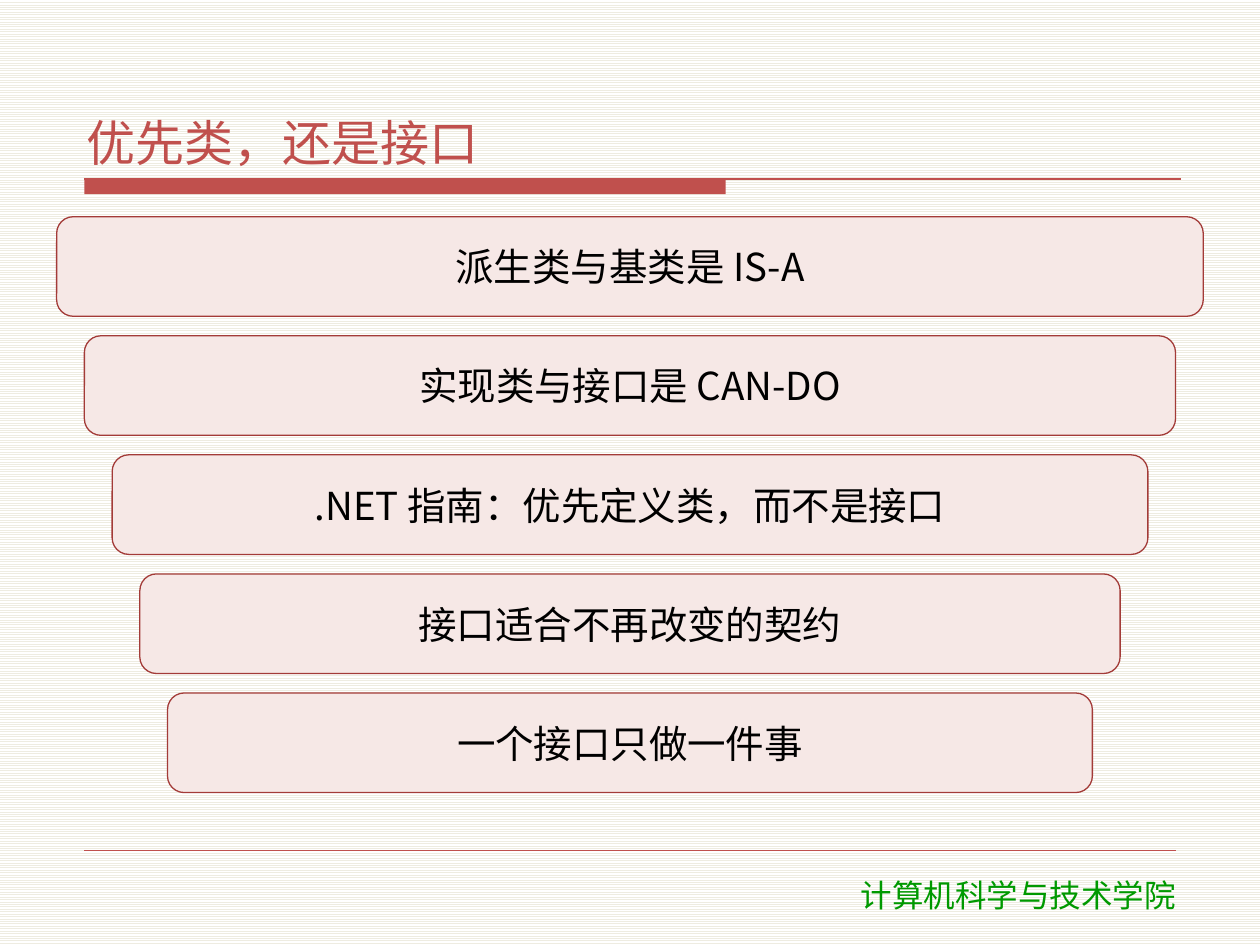
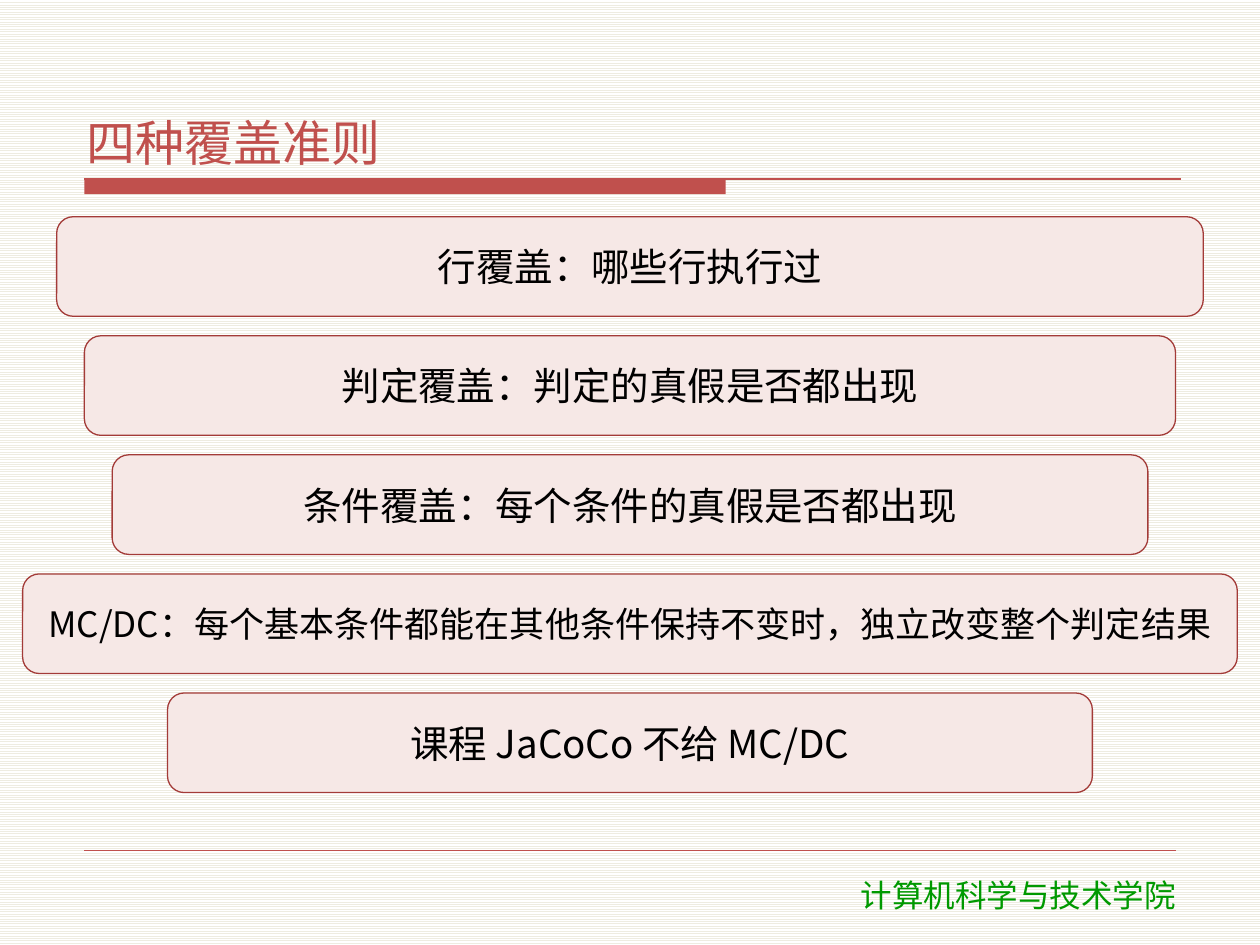
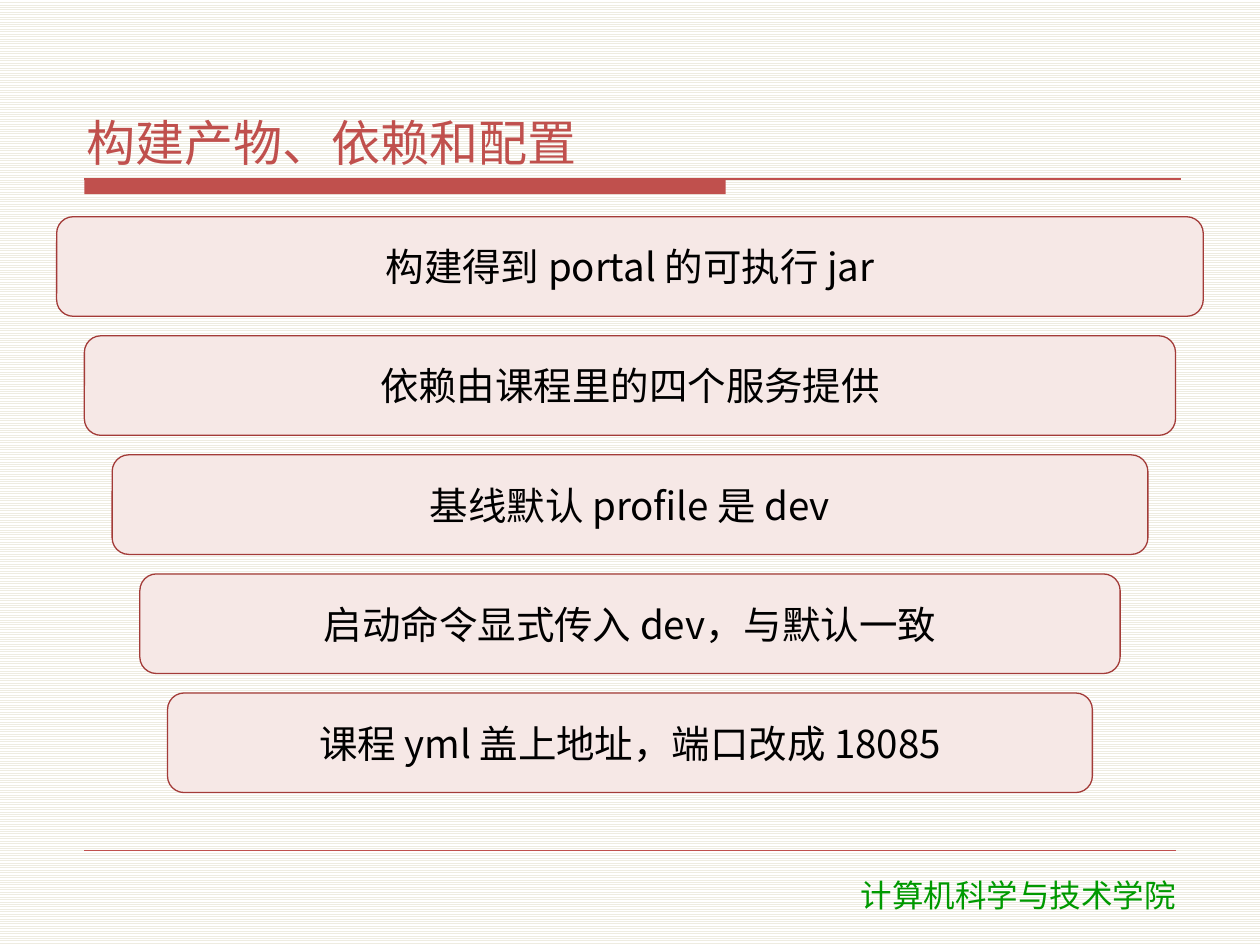
from lxml import etree
from pptx import Presentation, util as u
from pptx.dml.color import RGBColor
from pptx.enum import dml, shapes, text
from pptx.oxml import ns

RED, DARK_RED, BLUSH = "C0504D", "A33B38", "F6E8E6"
GREEN, BLACK, WHITE, CREAM = "009900", "000000", "FFFFFF", "EEECE1"
BODY_FONT, FOOTER_FONT = "Noto Sans CJK SC", "DejaVu Sans"
COLUMNS, ROWS = 100, 75
TITLE_ONLY = 5

# The one statement that needs nearly the full width
FULL_WIDTH = "MC/DC：每个基本条件都能在其他条件保持不变时，独立改变整个判定结果"

LESSONS = [
    ("优先类，还是接口", [
        "派生类与基类是 IS-A",
        "实现类与接口是 CAN-DO",
        ".NET 指南：优先定义类，而不是接口",
        "接口适合不再改变的契约",
        "一个接口只做一件事",
    ]),
    ("四种覆盖准则", [
        "行覆盖：哪些行执行过",
        "判定覆盖：判定的真假是否都出现",
        "条件覆盖：每个条件的真假是否都出现",
        FULL_WIDTH,
        "课程 JaCoCo 不给 MC/DC",
    ]),
    ("构建产物、依赖和配置", [
        "构建得到 portal 的可执行 jar",
        "依赖由课程里的四个服务提供",
        "基线默认 profile 是 dev",
        "启动命令显式传入 dev，与默认一致",
        "课程 yml 盖上地址，端口改成 18085",
    ]),
]


def color(hex_code):
    return RGBColor.from_string(hex_code)


class Deck:
    """Holds the shared style and the slide being built."""

    def __init__(self):
        self.prs = Presentation()
        self.prs.slide_width, self.prs.slide_height = u.Inches(10), u.Inches(7.5)
        self.slide = None

    def place(self, left, top, width, height):
        """Turn grid columns and rows into slide lengths."""
        column = self.prs.slide_width / COLUMNS
        row = self.prs.slide_height / ROWS
        return (u.Emu(round(left * column)), u.Emu(round(top * row)),
                u.Emu(round(width * column)), u.Emu(round(height * row)))

    def new_slide(self):
        self.slide = self.prs.slides.add_slide(self.prs.slide_layouts[TITLE_ONLY])
        backdrop = self.slide.background.fill
        backdrop.patterned()
        backdrop.pattern = dml.MSO_PATTERN.LIGHT_HORIZONTAL
        backdrop.fore_color.rgb = color(CREAM)
        backdrop.back_color.rgb = color(WHITE)

    def set_words(self, frame, words, size, ink, font=BODY_FONT,
                  align=text.PP_ALIGN.CENTER, anchor=text.MSO_ANCHOR.MIDDLE,
                  inset=(0.06, 0.02), after=2):
        frame.text = words
        frame.word_wrap = True
        frame.auto_size = text.MSO_AUTO_SIZE.NONE
        frame.vertical_anchor = anchor
        frame.margin_left = frame.margin_right = u.Inches(inset[0])
        frame.margin_top = frame.margin_bottom = u.Inches(inset[1])
        paragraph = frame.paragraphs[0]
        paragraph.alignment = align
        paragraph.space_before, paragraph.space_after = u.Pt(0), u.Pt(after)
        run = paragraph.runs[0]
        run.font.size, run.font.name = u.Pt(size), font
        run.font.color.rgb = color(ink)
        east_asian = etree.SubElement(run.font._element, ns.qn("a:ea"))
        east_asian.set("typeface", font)

    def title(self, words):
        heading = self.slide.shapes.title
        heading.left, heading.top, heading.width, heading.height = self.place(
            6.3, 3.3, 87.5, 10.5)
        self.set_words(heading.text_frame, words, 28, RED,
                       align=text.PP_ALIGN.LEFT, anchor=text.MSO_ANCHOR.BOTTOM)

    def box(self, kind, area, fill, outline=None):
        shape = self.slide.shapes.add_shape(kind, *self.place(*area))
        shape.shadow.inherit = False
        shape.fill.solid()
        shape.fill.fore_color.rgb = color(fill)
        if outline:
            shape.line.color.rgb = color(outline)
            shape.line.width = u.Pt(0.75)
        else:
            shape.line.fill.background()
        return shape

    def rule(self, left, top, width, weight):
        x, y, length, _ = self.place(left, top, width, 0)
        line = self.slide.shapes.add_connector(
            shapes.MSO_CONNECTOR.STRAIGHT, x, y, x + length, y)
        line.line.color.rgb = color(RED)
        line.line.width = u.Pt(weight)
        etree.SubElement(line._element.spPr, ns.qn("a:effectLst"))

    def frame(self):
        """Draw the title underline and the footer."""
        self.box(shapes.MSO_SHAPE.RECTANGLE, (6.7, 14.2, 50.9, 1.2), RED)
        self.rule(6.7, 14.2, 87, 0.75)
        self.rule(6.7, 67.5, 86.6, 0.25)
        school = self.slide.shapes.add_textbox(*self.place(60.7, 69, 40.2, 4))
        self.set_words(school.text_frame, "计算机科学与技术学院", 18, GREEN,
                       FOOTER_FONT, anchor=text.MSO_ANCHOR.TOP,
                       inset=(0.1, 0.05), after=0)

    def statement(self, step, words):
        """Add one centred bar; each step down is narrower."""
        left, size, inset = 4.5 + 2.2 * step, 22, (0.06, 0.02)
        if words == FULL_WIDTH:
            left, size, inset = 1.8, 20, (0.02, 0.02)
        area = (left, 17.2 + 9.45 * step, COLUMNS - 2 * left, 7.9)
        bar = self.box(shapes.MSO_SHAPE.ROUNDED_RECTANGLE, area, BLUSH, DARK_RED)
        self.set_words(bar.text_frame, words, size, BLACK, inset=inset)


def main():
    deck = Deck()
    for heading, statements in LESSONS:
        deck.new_slide()
        deck.frame()
        deck.title(heading)
        for step, words in enumerate(statements):
            deck.statement(step, words)
    deck.prs.save("out.pptx")


if __name__ == "__main__":
    main()
